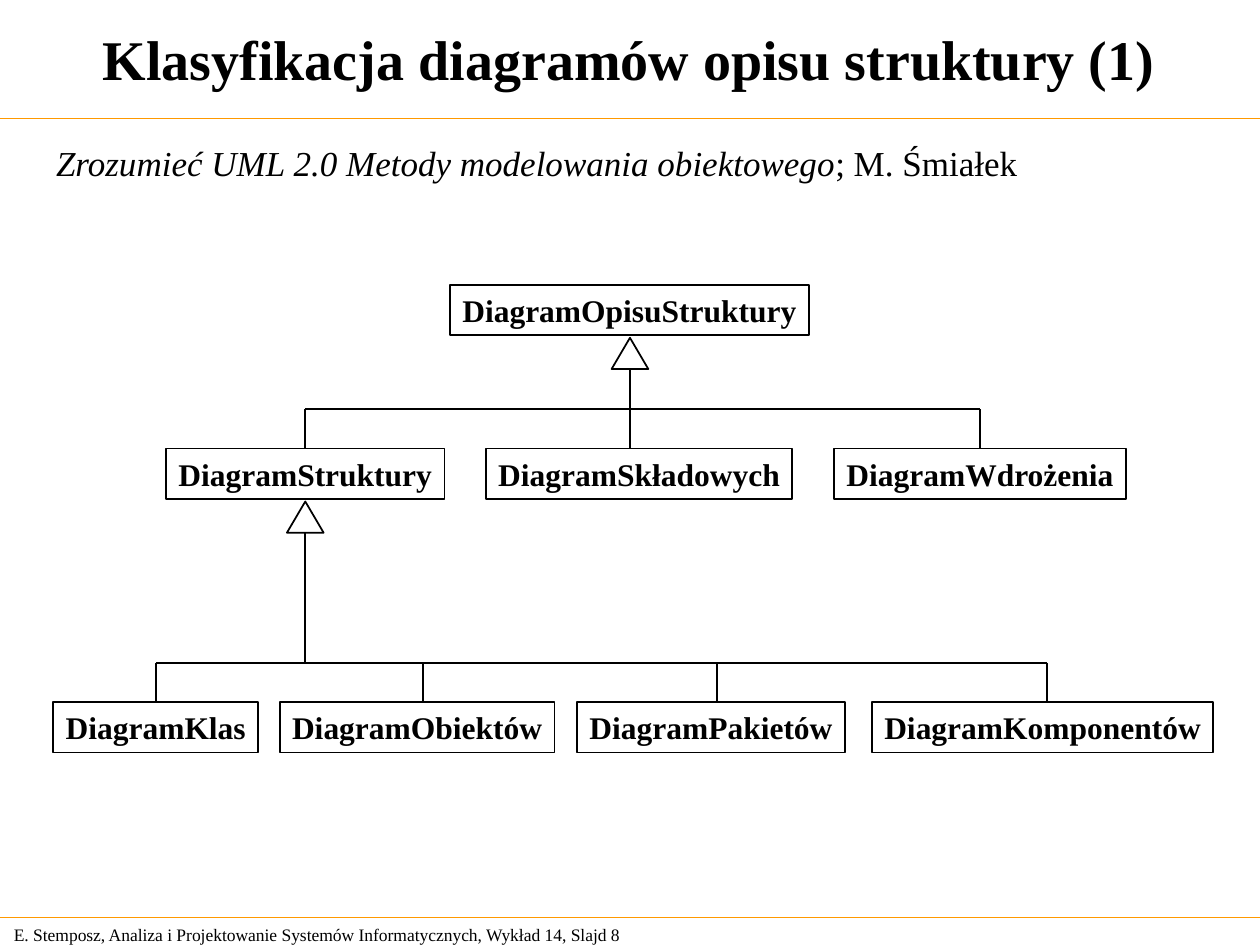
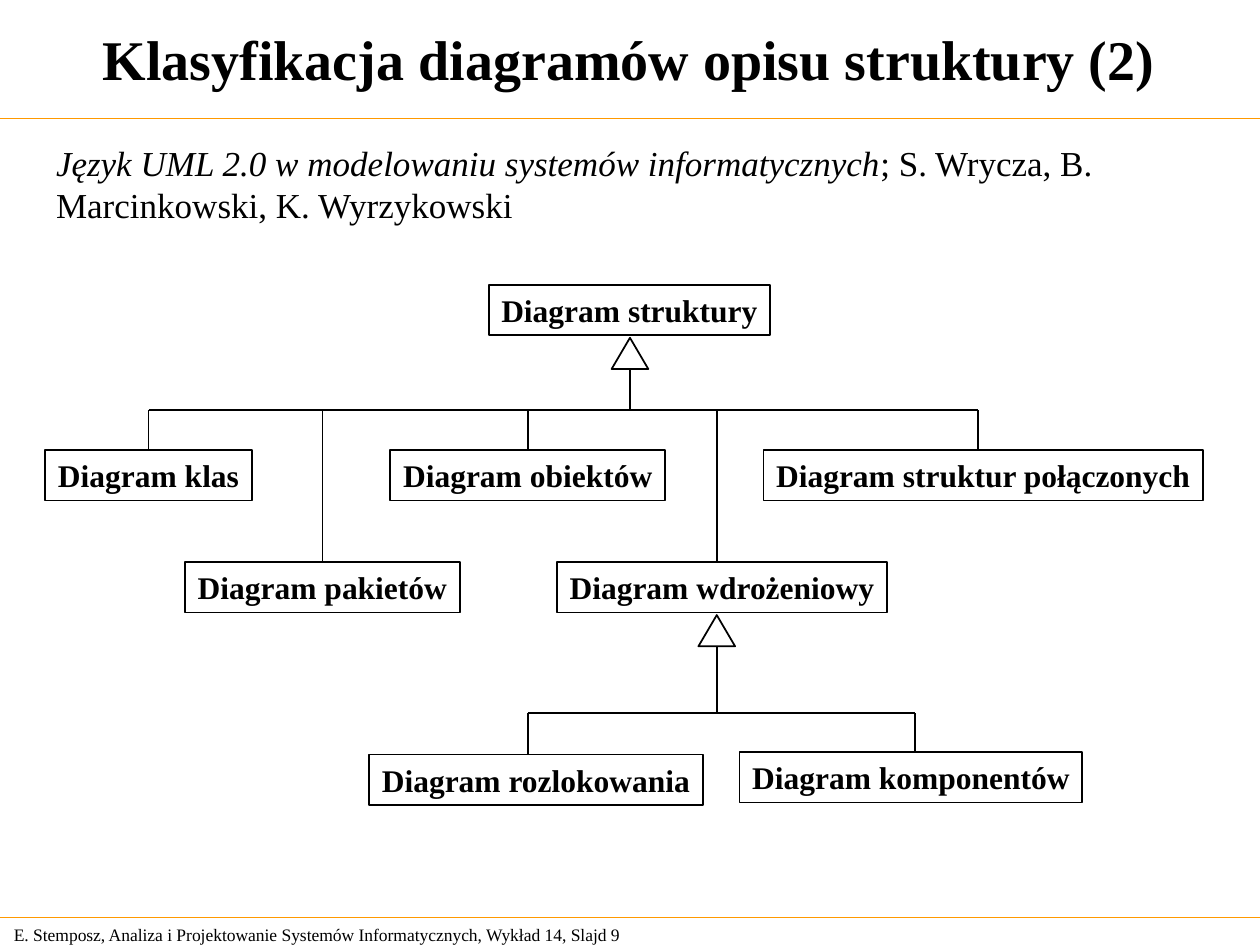
from lxml.etree import SubElement
from pptx import Presentation
from pptx.dml.color import RGBColor
from pptx.enum.shapes import MSO_CONNECTOR, MSO_SHAPE
from pptx.enum.text import MSO_ANCHOR as Anchor, PP_ALIGN as Align
from pptx.oxml.ns import qn
from pptx.util import Cm, Pt

BLACK = RGBColor(0, 0, 0)
ORANGE = RGBColor(0xFF, 0x99, 0x00)
FONT = "Times New Roman"
BOX_HEIGHT = Cm(1.02)
ARROW_WIDTH, ARROW_HEIGHT, ARROW_GAP = Cm(0.74), Cm(0.63), Cm(0.05)


def write(shape, parts, size, bold=False, align=Align.LEFT, anchor=Anchor.MIDDLE, wrap=True):
    frame = shape.text_frame
    frame.word_wrap = wrap
    frame.vertical_anchor = anchor
    paragraph = frame.paragraphs[0]
    paragraph.alignment = align
    for text, italic in parts:
        run = paragraph.add_run()
        run.text = text
        run.font.name = FONT
        run.font.size = Pt(size)
        run.font.bold = bold
        run.font.italic = italic
        run.font.color.rgb = BLACK


def draw_line(slide, x1, y1, x2, y2, color=BLACK, width=1):
    line = slide.shapes.add_connector(MSO_CONNECTOR.STRAIGHT, x1, y1, x2, y2)
    line.line.color.rgb = color
    line.line.width = Pt(width)
    SubElement(line._element.spPr, qn("a:effectLst"))
    return line


# name: left, top, width, and the line position where it is off the box centre
LECTURE_SLIDES = [
    {
        "number": 8,
        "book": "Zrozumieć UML 2.0 Metody modelowania obiektowego",
        "authors": "; M. Śmiałek",
        "classes": {
            "DiagramOpisuStruktury": (9.07, 5.74, 7.24, 12.7),
            "DiagramStruktury": (3.35, 9.04, 5.61, None),
            "DiagramSkładowych": (9.8, 9.04, 6.17, 12.7),
            "DiagramWdrożenia": (16.81, 9.04, 5.89, None),
            "DiagramKlas": (1.07, 14.15, 4.14, None),
            "DiagramObiektów": (5.64, 14.15, 5.54, 8.52),
            "DiagramPakietów": (11.63, 14.15, 5.41, 14.45),
            "DiagramKomponentów": (17.58, 14.15, 6.88, 21.11),
        },
        "branches": [
            ("DiagramOpisuStruktury", 8.25,
             ["DiagramStruktury", "DiagramSkładowych", "DiagramWdrożenia"]),
            ("DiagramStruktury", 13.36,
             ["DiagramKlas", "DiagramObiektów", "DiagramPakietów", "DiagramKomponentów"]),
        ],
    },
    {
        "number": 9,
        "book": "Język UML 2.0 w modelowaniu systemów informatycznych",
        "authors": "; S. Wrycza, B. Marcinkowski, K. Wyrzykowski",
        "classes": {
            "Diagram struktury": (9.86, 5.74, 5.66, 12.7),
            "Diagram klas": (0.91, 9.07, 4.17, None),
            "Diagram obiektów": (7.87, 9.07, 5.54, None),
            "Diagram struktur połączonych": (15.39, 9.07, 8.86, 19.71),
            "Diagram pakietów": (3.73, 11.33, 5.54, None),
            "Diagram wdrożeniowy": (11.23, 11.33, 6.65, 14.45),
            "Diagram rozlokowania": (7.44, 15.21, 6.73, 10.64),
            "Diagram komponentów": (14.91, 15.16, 6.91, 18.44),
        },
        "branches": [
            ("Diagram struktury", 8.27,
             ["Diagram klas", "Diagram pakietów", "Diagram obiektów",
              "Diagram wdrożeniowy", "Diagram struktur połączonych"]),
            ("Diagram wdrożeniowy", 14.38, ["Diagram rozlokowania", "Diagram komponentów"]),
        ],
    },
]

deck = Presentation()
deck.slide_width, deck.slide_height = Cm(25.4), Cm(19.05)

for part, lecture in enumerate(LECTURE_SLIDES, start=1):
    slide = deck.slides.add_slide(deck.slide_layouts[6])
    shapes = slide.shapes

    footer = shapes.add_textbox(Cm(0.03), Cm(18.49), Cm(13.31), Cm(0.69))
    footer_text = ("E. Stemposz, Analiza i Projektowanie Systemów Informatycznych, "
                   f"Wykład 14, Slajd {lecture['number']}")
    write(footer, [(footer_text, False)], 10)
    for rule_y in (Cm(2.39), Cm(18.49)):
        draw_line(slide, 0, rule_y, deck.slide_width, rule_y, ORANGE, 0.75)

    title = shapes.add_textbox(0, 0, Cm(25.37), Cm(2.34))
    write(title, [(f"Klasyfikacja diagramów opisu struktury ({part})", False)], 32,
          bold=True, align=Align.CENTER)
    citation = shapes.add_textbox(Cm(0.88), Cm(2.72), Cm(23.6), Cm(1.96))
    write(citation, [(lecture["book"], True), (lecture["authors"], False)], 20,
          anchor=Anchor.TOP)

    boxes, line_x = {}, {}
    for name, (left, top, width, off_centre) in lecture["classes"].items():
        box = shapes.add_shape(MSO_SHAPE.RECTANGLE, Cm(left), Cm(top), Cm(width), BOX_HEIGHT)
        box.shadow.inherit = False
        box.fill.background()
        box.line.color.rgb = BLACK
        box.line.width = Pt(1)
        write(box, [(name, False)], 18, bold=True, align=Align.CENTER, wrap=False)
        boxes[name] = box
        line_x[name] = Cm(off_centre) if off_centre else box.left + box.width // 2

    for parent, bus, children in lecture["branches"]:
        bus_y = Cm(bus)
        stem_x = line_x[parent]
        arrow_y = boxes[parent].top + BOX_HEIGHT + ARROW_GAP
        arrow = shapes.add_shape(MSO_SHAPE.ISOSCELES_TRIANGLE, stem_x - ARROW_WIDTH // 2,
                                 arrow_y, ARROW_WIDTH, ARROW_HEIGHT)
        arrow.shadow.inherit = False
        arrow.fill.background()
        arrow.line.color.rgb = BLACK
        arrow.line.width = Pt(1)
        draw_line(slide, stem_x, arrow_y + ARROW_HEIGHT, stem_x, bus_y)

        child_xs = [line_x[child] for child in children]
        draw_line(slide, min(child_xs), bus_y, max(child_xs), bus_y)
        for child, x in zip(children, child_xs):
            drop = draw_line(slide, x, bus_y, x, boxes[child].top)
            if lecture["classes"][child][3] is None:
                drop.end_connect(boxes[child], 0)

deck.save("out.pptx")
